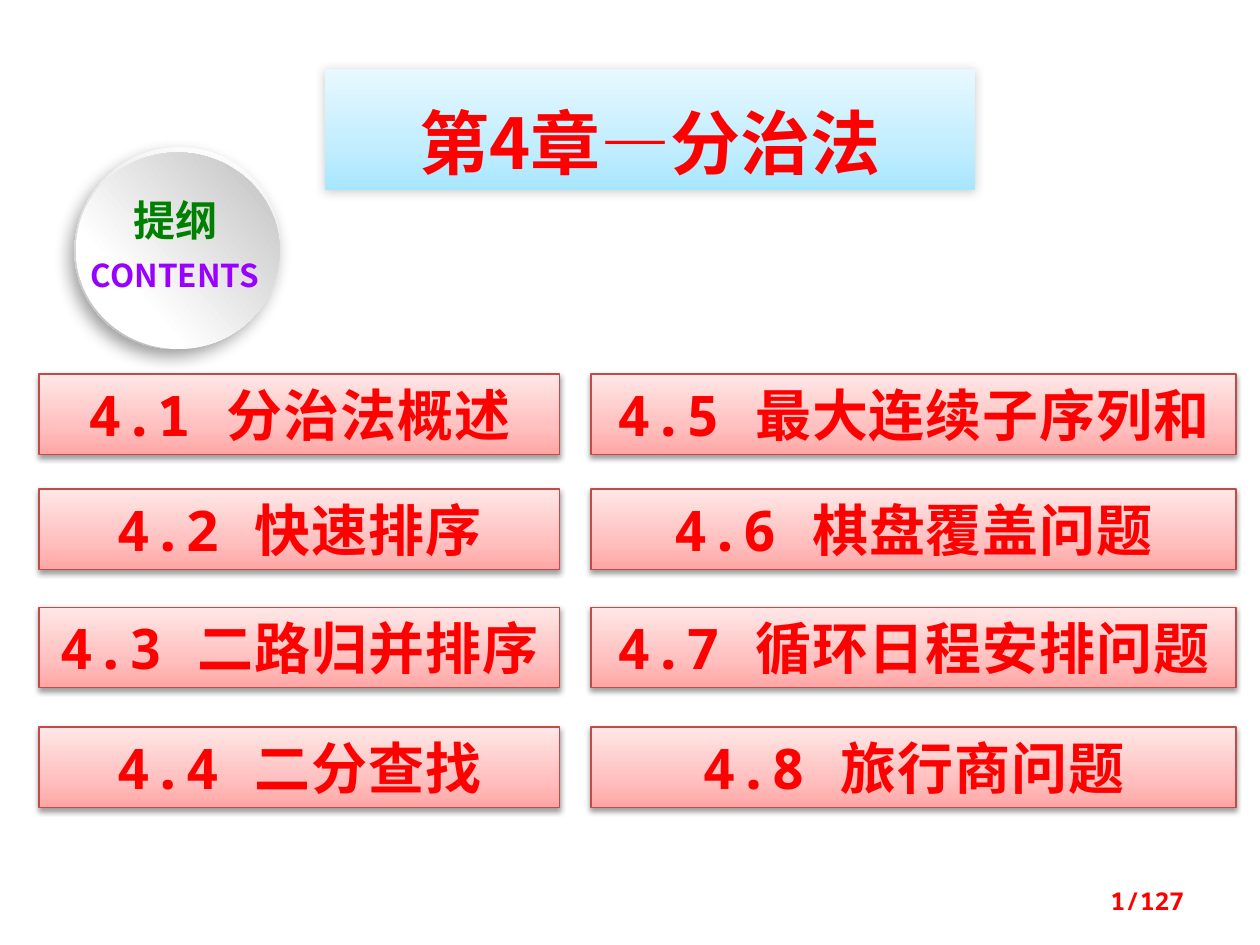
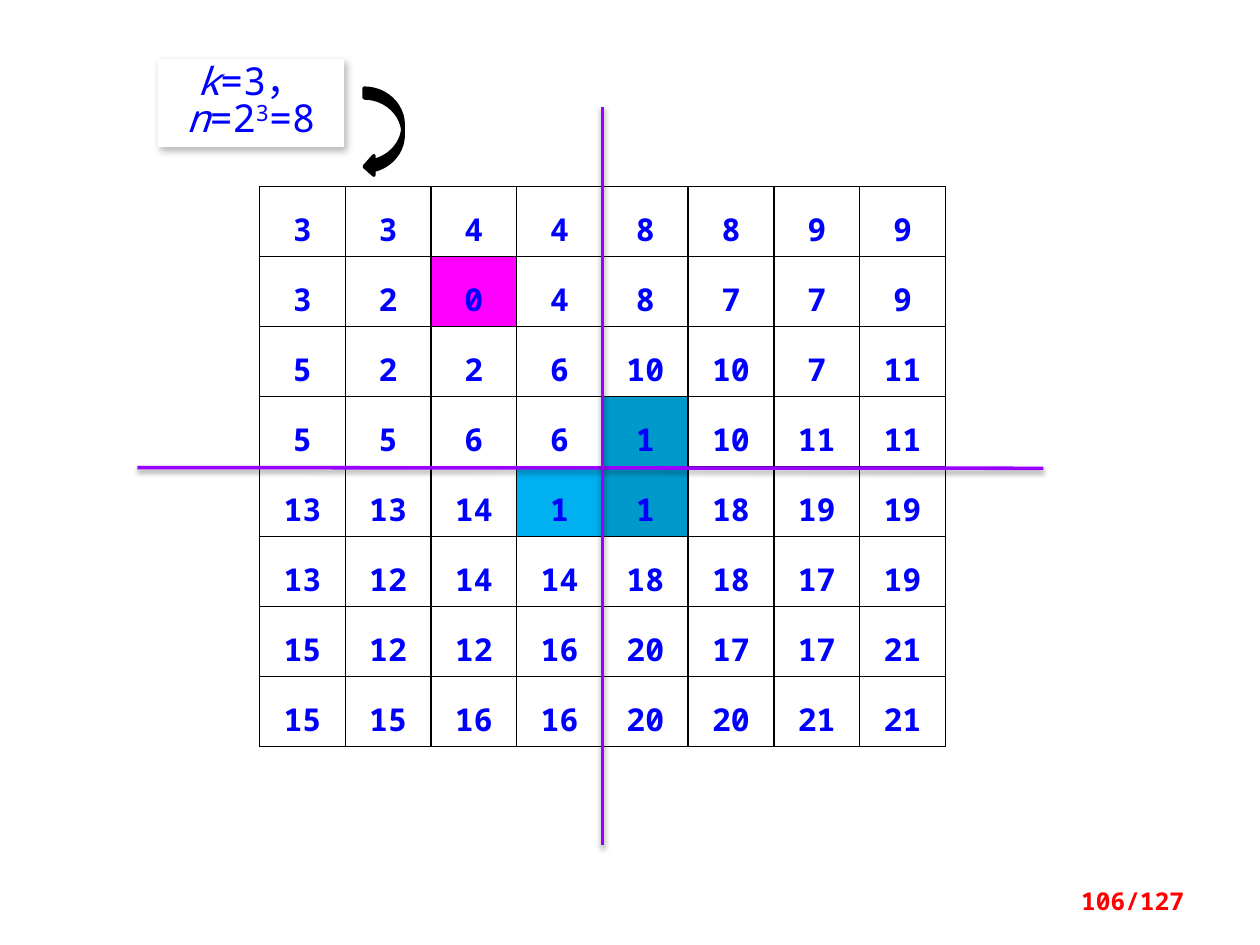
from dataclasses import dataclass

from lxml import etree
from pptx import Presentation
from pptx.dml.color import RGBColor
from pptx.enum.shapes import MSO_CONNECTOR, MSO_SHAPE
from pptx.enum.text import MSO_ANCHOR, MSO_AUTO_SIZE, PP_ALIGN
from pptx.oxml.ns import qn
from pptx.util import Pt

RED = RGBColor(0xFF, 0x00, 0x00)
BLUE = RGBColor(0x00, 0x00, 0xFF)
GREEN = RGBColor(0x00, 0x80, 0x00)
VIOLET = RGBColor(0x99, 0x00, 0xFF)
MAGENTA = RGBColor(0xFF, 0x00, 0xFF)
TEAL = RGBColor(0x00, 0x99, 0xCC)
SKY = RGBColor(0x00, 0xB0, 0xF0)
BLACK = RGBColor(0x00, 0x00, 0x00)
WHITE = RGBColor(0xFF, 0xFF, 0xFF)
SILVER = RGBColor(0xB8, 0xB8, 0xB8)
LIGHT_GRAY = RGBColor(0xBF, 0xBF, 0xBF)
CARD_LINE = RGBColor(0xBF, 0x4C, 0x48)

SANS = "Noto Sans CJK SC"
MONO = "Noto Sans Mono"
PAGE_COUNT = 127


@dataclass(frozen=True)
class Area:
    left: float
    top: float
    width: float
    height: float

    def lengths(self) -> tuple:
        return Pt(self.left), Pt(self.top), Pt(self.width), Pt(self.height)


@dataclass(frozen=True)
class Style:
    size: float
    font: str
    color: RGBColor
    bold: bool = True
    spacing: float = 0


@dataclass(frozen=True)
class Shadow:
    opacity: int
    blur: float
    distance: float
    angle: int


@dataclass(frozen=True)
class Gradient:
    stops: tuple
    angle: int


@dataclass(frozen=True)
class Disc:
    area: Area
    rotation: float
    gradient: Gradient
    shadow: Shadow | None = None


TITLE_STYLE = Style(40, SANS, RED)
CARD_STYLE = Style(32, MONO, RED, spacing=0.5)
NUMBER_STYLE = Style(14, MONO, RED)
FORMULA_STYLE = Style(22, MONO, BLUE, bold=False)
CELL_STYLE = Style(18, MONO, BLUE)

SOFT_SHADOW = Shadow(38, 3.1, 1.6, 90)
TITLE_GRADIENT = Gradient(((0, RGBColor(0xA7, 0xE6, 0xFF)), (35, RGBColor(0xC1, 0xED, 0xFF)),
                           (100, RGBColor(0xE7, 0xF8, 0xFF))), 270)
CARD_GRADIENT = Gradient(((0, RGBColor(0xFF, 0xA6, 0xA5)), (35, RGBColor(0xFF, 0xC0, 0xBF)),
                          (100, RGBColor(0xFF, 0xE7, 0xE7))), 270)

DISCS = (
    Disc(Area(43.9, 82.8, 114.5, 118), 62.3,
         Gradient(((17, WHITE), (88, SILVER)), 45), Shadow(39, 10, 5, 123)),
    Disc(Area(45.4, 85, 112.3, 116.6), 273,
         Gradient(((29, WHITE), (98, LIGHT_GRAY)), 45)),
)

# Chapter sections: left edge and width of each column, then its labels
CARD_TOPS = (213.8, 279.4, 347, 415.4)
CARD_HEIGHT = 46
CARD_COLUMNS = (
    (22.3, 297.4, ("4.1 分治法概述", "4.2 快速排序", "4.3 二路归并排序", "4.4 二分查找")),
    (337.7, 368.6, ("4.5 最大连续子序列和", "4.6 棋盘覆盖问题",
                    "4.7 循环日程安排问题", "4.8 旅行商问题")),
)

# Tile numbers of the covered chessboard
BOARD = (
    (3, 3, 4, 4, 8, 8, 9, 9),
    (3, 2, 0, 4, 8, 7, 7, 9),
    (5, 2, 2, 6, 10, 10, 7, 11),
    (5, 5, 6, 6, 1, 10, 11, 11),
    (13, 13, 14, 1, 1, 18, 19, 19),
    (13, 12, 14, 14, 18, 18, 17, 19),
    (15, 12, 12, 16, 20, 17, 17, 21),
    (15, 15, 16, 16, 20, 20, 21, 21),
)
CELL_FILLS = {(1, 2): MAGENTA, (3, 4): TEAL, (4, 3): SKY, (4, 4): TEAL}
CELL_WIDTH, CELL_HEIGHT = 49, 40


def style_span(span, style: Style) -> None:
    font = span.font
    font.size, font.bold, font.name = Pt(style.size), style.bold, style.font
    font.color.rgb = style.color
    properties = font._element
    if style.spacing:
        properties.set("spc", str(round(style.spacing * 100)))
    east_asian = etree.Element(qn("a:ea"), typeface=SANS)
    properties.find(qn("a:latin")).addnext(east_asian)


def write(shape, text: str, style: Style, align=PP_ALIGN.CENTER, insets=(0, 3.6, 0, 3.6)):
    frame = shape.text_frame
    frame.text = text
    frame.word_wrap = True
    frame.auto_size = MSO_AUTO_SIZE.NONE
    frame.vertical_anchor = MSO_ANCHOR.MIDDLE
    frame.margin_left, frame.margin_top, frame.margin_right, frame.margin_bottom = map(Pt, insets)
    para = frame.paragraphs[0]
    para.alignment = align
    for span in para.runs:
        style_span(span, style)
    return para


def fill_gradient(shape, gradient: Gradient) -> None:
    shape.fill.gradient()
    fill = shape._element.spPr.find(qn("a:gradFill"))
    fill.set("rotWithShape", "1")
    stops = fill.find(qn("a:gsLst"))
    for stop in list(stops):
        stops.remove(stop)
    for position, color in gradient.stops:
        stop = etree.SubElement(stops, qn("a:gs"), pos=str(position * 1000))
        etree.SubElement(stop, qn("a:srgbClr"), val=str(color))
    fill.find(qn("a:lin")).set("ang", str(gradient.angle * 60000))


def set_shadow(shape, shadow: Shadow) -> None:
    properties = shape._element.spPr
    effects = properties.find(qn("a:effectLst"))
    if effects is None:
        effects = etree.SubElement(properties, qn("a:effectLst"))
    outer = etree.SubElement(
        effects, qn("a:outerShdw"), blurRad=str(Pt(shadow.blur)), dist=str(Pt(shadow.distance)),
        dir=str(shadow.angle * 60000), algn="ctr", rotWithShape="0")
    color = etree.SubElement(outer, qn("a:srgbClr"), val=str(BLACK))
    etree.SubElement(color, qn("a:alpha"), val=str(shadow.opacity * 1000))


def add_plain_shape(page, kind, area: Area):
    shape = page.shapes.add_shape(kind, *area.lengths())
    shape.shadow.inherit = False
    shape.line.fill.background()
    return shape


def add_text(page, area: Area, text: str, style: Style, align=PP_ALIGN.CENTER) -> None:
    write(page.shapes.add_textbox(*area.lengths()), text, style, align)


def add_page_number(page, number: int) -> None:
    add_text(page, Area(516.2, 500.4, 160.6, 28.8), f"{number}/{PAGE_COUNT}",
             NUMBER_STYLE, PP_ALIGN.RIGHT)


def add_title(page, text: str) -> None:
    title = page.shapes.title
    title.left, title.top, title.width, title.height = Area(185.8, 39.6, 371.5, 69.1).lengths()
    fill_gradient(title, TITLE_GRADIENT)
    title.shadow.inherit = False
    set_shadow(title, Shadow(20, 6, 1, 135))
    write(title, text, TITLE_STYLE, insets=(7.2, 17.3, 7.2, 3.6))


def add_card(page, area: Area, text: str) -> None:
    card = add_plain_shape(page, MSO_SHAPE.RECTANGLE, area)
    fill_gradient(card, CARD_GRADIENT)
    card.line.color.rgb, card.line.width = CARD_LINE, Pt(0.75)
    set_shadow(card, SOFT_SHADOW)
    write(card, text, CARD_STYLE)


def add_disc(page, disc: Disc) -> None:
    shape = add_plain_shape(page, MSO_SHAPE.OVAL, disc.area)
    shape.rotation = disc.rotation
    fill_gradient(shape, disc.gradient)
    if disc.shadow:
        set_shadow(shape, disc.shadow)


def add_divider(page, start: tuple, end: tuple) -> None:
    line = page.shapes.add_connector(MSO_CONNECTOR.STRAIGHT, *map(Pt, start + end))
    line.line.color.rgb, line.line.width = VIOLET, Pt(2)
    set_shadow(line, SOFT_SHADOW)


def add_formula(page) -> None:
    box = add_plain_shape(page, MSO_SHAPE.RECTANGLE, Area(90, 33.8, 106.6, 50.4))
    box.fill.solid()
    box.fill.fore_color.rgb = WHITE
    set_shadow(box, Shadow(30, 4.5, 2.6, 53))
    para = write(box, "", FORMULA_STYLE, insets=(7.2, 3.6, 7.2, 3.6))
    para.line_spacing = 0.8
    for text in ("k", "=3，", "n", "=2", "3", "=8"):
        span = para.add_run()
        span.text = text
        style_span(span, FORMULA_STYLE)
        span.font.italic = text.isalpha()
        if text == "3":
            span.font._element.set("baseline", "30000")


def set_borders(cell) -> None:
    properties = cell._tc.get_or_add_tcPr()
    for index, side in enumerate(("lnL", "lnR", "lnT", "lnB")):
        border = etree.Element(qn(f"a:{side}"), w=str(Pt(1)))
        fill = etree.SubElement(border, qn("a:solidFill"))
        etree.SubElement(fill, qn("a:srgbClr"), val=str(BLACK))
        properties.insert(index, border)


def add_board(page) -> None:
    rows, columns = len(BOARD), len(BOARD[0])
    area = Area(148.3, 106.6, columns * CELL_WIDTH, rows * CELL_HEIGHT)
    table = page.shapes.add_table(rows, columns, *area.lengths()).table
    table.first_row = table.horz_banding = False
    for column in table.columns:
        column.width = Pt(CELL_WIDTH)
    for row_index, numbers in enumerate(BOARD):
        table.rows[row_index].height = Pt(CELL_HEIGHT)
        for column_index, number in enumerate(numbers):
            cell = table.cell(row_index, column_index)
            cell.text = str(number)
            cell.margin_left = cell.margin_right = Pt(5)
            cell.margin_top = cell.margin_bottom = Pt(0)
            para = cell.text_frame.paragraphs[0]
            para.alignment, para.line_spacing = PP_ALIGN.CENTER, 1.5
            style_span(para.runs[0], CELL_STYLE)
            color = CELL_FILLS.get((row_index, column_index))
            if color is None:
                cell.fill.background()
            else:
                cell.fill.solid()
                cell.fill.fore_color.rgb = color
            set_borders(cell)


def build_contents(deck) -> None:
    page = deck.slides.add_slide(deck.slide_layouts[5])
    add_title(page, "第4章—分治法")
    # Round contents badge
    for disc in DISCS:
        add_disc(page, disc)
    add_text(page, Area(33.8, 142.6, 132.5, 28.8), "CONTENTS", Style(18, SANS, VIOLET))
    add_text(page, Area(62.6, 107.3, 75.6, 36), "提纲", Style(24, SANS, GREEN))
    # Section cards
    for left, width, labels in CARD_COLUMNS:
        for top, label in zip(CARD_TOPS, labels):
            add_card(page, Area(left, top, width, CARD_HEIGHT), label)
    add_page_number(page, 1)


def build_chessboard(deck) -> None:
    page = deck.slides.add_slide(deck.slide_layouts[6])
    add_formula(page)
    add_board(page)
    # Arrow from the formula to the board
    arrow = add_plain_shape(page, MSO_SHAPE.CURVED_LEFT_ARROW, Area(208.1, 50.4, 22.3, 50.4))
    arrow.fill.solid()
    arrow.fill.fore_color.rgb = BLACK
    arrow.line.color.rgb, arrow.line.width = BLACK, Pt(2)
    # Lines that split the board into quadrants
    add_divider(page, (78.5, 267.2), (596.2, 267.6))
    add_divider(page, (344.2, 61.2), (344.2, 483.1))
    add_page_number(page, 106)


def main() -> None:
    deck = Presentation()
    deck.slide_width, deck.slide_height = Pt(720), Pt(540)
    build_contents(deck)
    build_chessboard(deck)
    deck.save("out.pptx")


if __name__ == "__main__":
    main()
